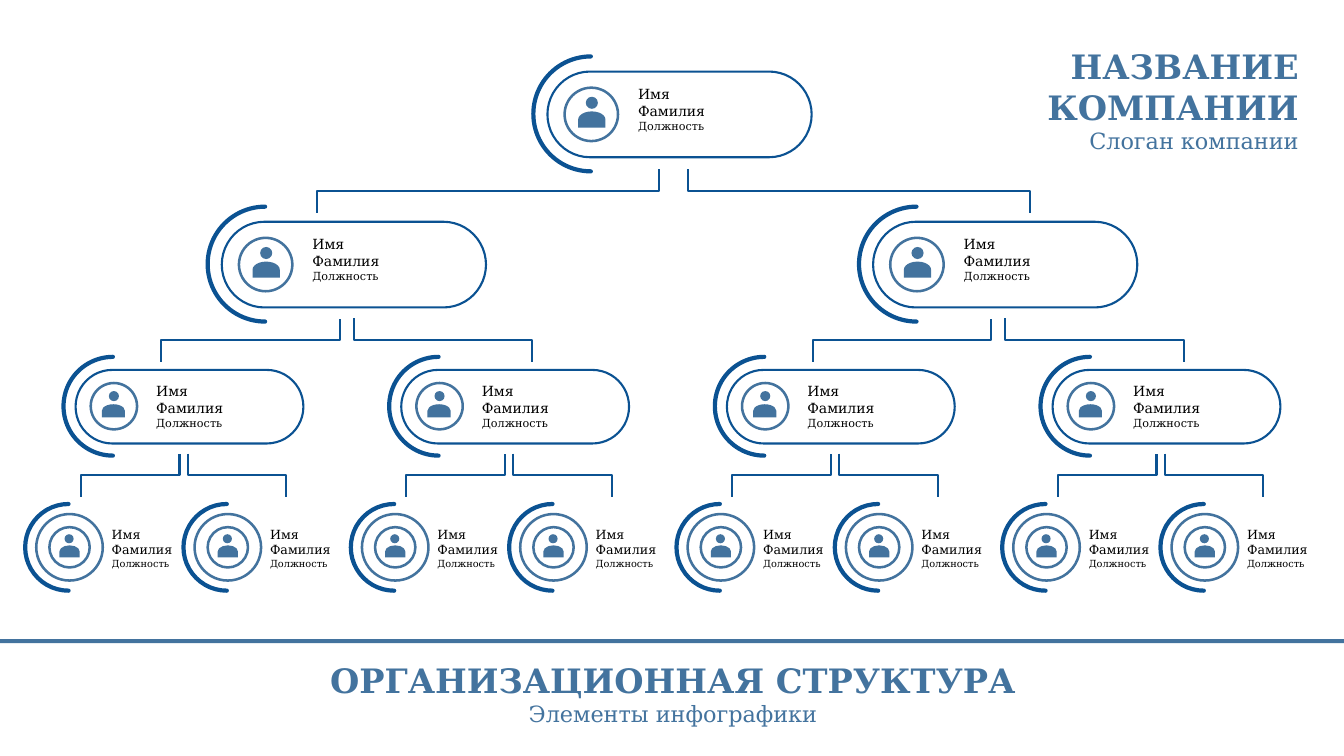
"""Build the organisation structure slide: four levels of people joined by brackets."""
from dataclasses import dataclass
from typing import Optional

import lxml.etree
import pptx
import pptx.dml.color
import pptx.enum.shapes
import pptx.enum.text
import pptx.oxml.ns
import pptx.shapes.autoshape
import pptx.util

Inches = pptx.util.Inches
Shape = pptx.enum.shapes.MSO_SHAPE
Align = pptx.enum.text.PP_ALIGN
Box = tuple[float, float, float, float]

COLOURS = {"steel": "43739E", "navy": "0B5292", "arc": "0F6FC6", "white": "FFFFFF", "black": "000000"}
FONT = "DejaVu Serif"
COLUMN_STEP = 3.23


@dataclass(frozen=True)
class TextLine:
    text: str
    size: int
    bold: bool = False


@dataclass(frozen=True)
class CardStyle:
    arc: float
    frame: Box
    label: Box
    ring: Box
    head: Box
    body: Box
    name_size: int
    role_size: int
    pill: bool = True


@dataclass(frozen=True)
class Level:
    style: CardStyle
    lefts: list[float]
    top: float


@dataclass(frozen=True)
class Branching:
    centres: list[float]
    half_gap: float
    span: float
    top: float


LARGE = CardStyle(1.14, (0.14, 0.15, 2.62, 0.85), (0.94, 0.24, 1.74, 0.57), (0.31, 0.31, 0.53, 0.53),
                  (0.52, 0.4, 0.12, 0.12), (0.5, 0.49, 0.16, 0.27), 10, 8)
MEDIUM = CardStyle(0.98, (0.12, 0.13, 2.26, 0.73), (0.82, 0.21, 1.49, 0.57), (0.27, 0.26, 0.46, 0.46),
                   (0.45, 0.34, 0.1, 0.1), (0.43, 0.42, 0.13, 0.23), 10, 8)
SMALL = CardStyle(0.86, (0.11, 0.1, 0.66, 0.66), (0.76, 0.18, 0.85, 0.52), (0.24, 0.23, 0.4, 0.4),
                  (0.39, 0.3, 0.09, 0.09), (0.38, 0.37, 0.12, 0.2), 9, 7, pill=False)


def columns(start: float, count: int, step: float = COLUMN_STEP) -> list[float]:
    return [start + step * column for column in range(count)]


LEVELS = [
    Level(LARGE, [5.29], 0.56),
    Level(LARGE, columns(2.06, 2, 2 * COLUMN_STEP), 2.05),
    Level(MEDIUM, columns(0.63, 4), 3.54),
    Level(SMALL, columns(0.25, 4) + columns(1.82, 4), 5),
]
BRANCHINGS = [
    Branching([6.68], 0.14, 3.4, 1.68),
    Branching(columns(3.44, 2, 2 * COLUMN_STEP), 0.07, 1.77, 3.16),
    Branching(columns(1.82, 4), 0.04, 0.98, 4.5),
]
BRANCH_HEIGHT = 0.43


def colour(name: str) -> pptx.dml.color.RGBColor:
    return pptx.dml.color.RGBColor.from_string(COLOURS[name])


def draw_shape(shapes, kind: Shape, box: Box, fill: Optional[str] = None, line: Optional[str] = None,
               width: float = 1.5, rotation: float = 0) -> pptx.shapes.autoshape.Shape:
    part = shapes.add_shape(kind, *map(Inches, box))
    part.shadow.inherit = False
    part.rotation = rotation
    if fill:
        part.fill.solid()
        part.fill.fore_color.rgb = colour(fill)
    else:
        part.fill.background()
    if line:
        part.line.color.rgb = colour(line)
        part.line.width = pptx.util.Pt(width)
    else:
        part.line.fill.background()
    return part


def draw_text(shapes, box: Box, lines: list[TextLine], ink: str, align: Align) -> None:
    frame = shapes.add_textbox(*map(Inches, box)).text_frame
    frame.word_wrap = True
    frame.auto_size = pptx.enum.text.MSO_AUTO_SIZE.SHAPE_TO_FIT_TEXT
    for index, line in enumerate(lines):
        paragraph = frame.add_paragraph() if index else frame.paragraphs[0]
        paragraph.alignment = align
        run = paragraph.add_run()
        run.text = line.text
        formats = {"name": FONT, "size": pptx.util.Pt(line.size), "bold": line.bold}
        for attribute, value in formats.items():
            setattr(run.font, attribute, value)
        run.font.color.rgb = colour(ink)


def draw_person(slide, style: CardStyle, left: float, top: float) -> None:
    def place(box: Box) -> Box:
        return left + box[0], top + box[1], box[2], box[3]

    card = slide.shapes.add_group_shape().shapes
    if style.pill:
        draw_shape(card, Shape.FLOWCHART_TERMINATOR, place(style.frame), "white", "navy")
    else:
        draw_shape(card, Shape.OVAL, place(style.frame), line="steel", width=1.8)
    arc = draw_shape(card, Shape.BLOCK_ARC, (left, top, style.arc, style.arc), "arc", "navy", 3, 270)
    for index, value in enumerate((108, 0, 0)):
        arc.adjustments[index] = value
    lines = [TextLine("Имя", style.name_size), TextLine("Фамилия", style.name_size),
             TextLine("Должность", style.role_size)]
    draw_text(card, place(style.label), lines, "black", Align.LEFT)
    draw_shape(card, Shape.OVAL, place(style.ring), line="steel", width=1.8)
    draw_shape(card, Shape.OVAL, place(style.head), "steel")
    draw_shape(card, Shape.FLOWCHART_DELAY, place(style.body), "steel", rotation=270)


def draw_branch(slide, left: float, top: float, span: float, descends: bool) -> None:
    middle_x, middle_y = left + span / 2, top + BRANCH_HEIGHT / 2
    near, far = middle_x - BRANCH_HEIGHT / 2, middle_x + BRANCH_HEIGHT / 2
    start, end = (far, near) if descends else (near, far)
    branch = slide.shapes.add_connector(
        pptx.enum.shapes.MSO_CONNECTOR.ELBOW,
        *map(Inches, (start, middle_y - span / 2, end, middle_y + span / 2)))
    branch.rotation = 270
    branch.line.color.rgb = colour("navy")
    branch.line.width = pptx.util.Pt(1.5)
    lxml.etree.SubElement(branch._element.spPr, pptx.oxml.ns.qn("a:effectLst"))


def main() -> None:
    presentation = pptx.Presentation()
    presentation.slide_width, presentation.slide_height = Inches(13.33), Inches(7.5)
    slide = presentation.slides.add_slide(presentation.slide_layouts[6])

    draw_text(slide.shapes, (-0.01, 6.5, 13.37, 0.82),
              [TextLine("ОРГАНИЗАЦИОННАЯ СТРУКТУРА", 24, True), TextLine("Элементы инфографики", 16)],
              "steel", Align.CENTER)
    draw_text(slide.shapes, (9.18, 0.41, 3.8, 1.17),
              [TextLine("НАЗВАНИЕ КОМПАНИИ", 24, True), TextLine("Слоган компании", 16)],
              "steel", Align.RIGHT)
    draw_shape(slide.shapes, Shape.RECTANGLE, (-0.01, 6.34, 13.37, 0.04), "steel")

    for level in LEVELS:
        for left in level.lefts:
            draw_person(slide, level.style, left, level.top)
    for branching in BRANCHINGS:
        for centre in branching.centres:
            draw_branch(slide, centre - branching.half_gap - branching.span, branching.top, branching.span, False)
            draw_branch(slide, centre + branching.half_gap, branching.top, branching.span, True)

    presentation.save("out.pptx")


if __name__ == "__main__":
    main()
